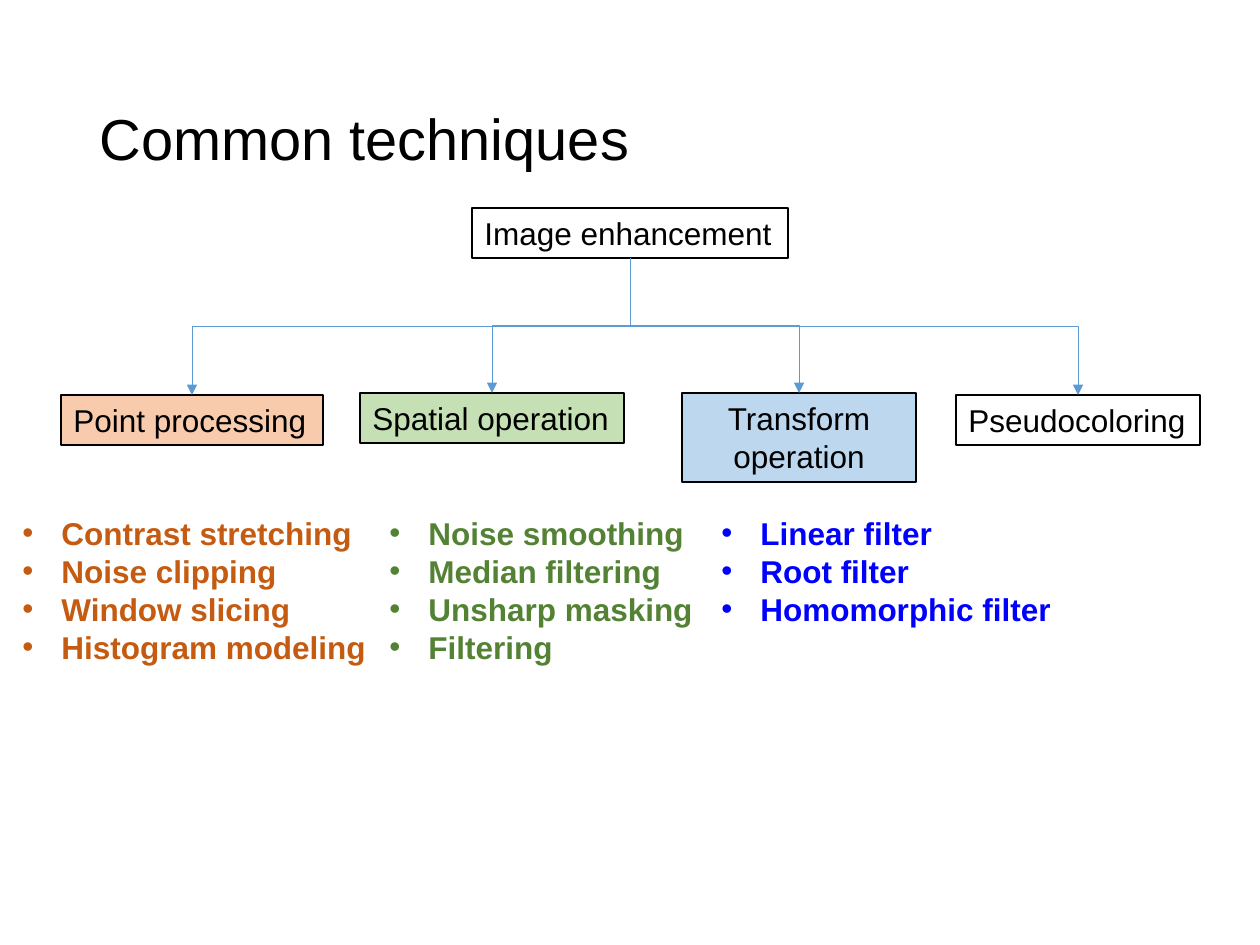
from typing import NamedTuple, Optional

from pptx import Presentation
from pptx.dml.color import RGBColor
from pptx.enum.shapes import MSO_CONNECTOR, MSO_SHAPE
from pptx.enum.text import MSO_ANCHOR, MSO_AUTO_SIZE, PP_ALIGN
from pptx.oxml.ns import qn
from pptx.util import Emu, Pt

SCALE = 914400 / 126
FONT = "Arial"
LEFT, CENTER = PP_ALIGN.LEFT, PP_ALIGN.CENTER
MIDDLE, TOP = MSO_ANCHOR.MIDDLE, MSO_ANCHOR.TOP
GROW, FIXED = MSO_AUTO_SIZE.SHAPE_TO_FIT_TEXT, MSO_AUTO_SIZE.NONE
ELBOW, RECT = MSO_CONNECTOR.ELBOW, MSO_SHAPE.RECTANGLE

BLACK = RGBColor(0, 0, 0)
PEACH = RGBColor(0xF8, 0xCB, 0xAD)
MINT = RGBColor(0xC5, 0xE0, 0xB4)
SKY = RGBColor(0xBD, 0xD7, 0xEE)
STEEL = RGBColor(0x5B, 0x9B, 0xD5)
RUST = RGBColor(0xC5, 0x5A, 0x11)
GREEN = RGBColor(0x54, 0x82, 0x35)
BLUE = RGBColor(0, 0, 0xFF)

INDENT = 39
LIST_TOP = 508


class Box(NamedTuple):
    text: str
    x: int
    y: int
    w: int
    h: int = 50
    fill: Optional[RGBColor] = None
    wrap: bool = False


class Bullets(NamedTuple):
    x: int
    w: int
    h: int
    color: RGBColor
    items: tuple[str, ...]


ROOT = Box("Image enhancement", 472, 208, 316)
GROUPS = (
    Box("Point processing", 61, 395, 262, fill=PEACH),
    Box("Spatial operation", 360, 393, 264, fill=MINT),
    Box("Transform operation", 682, 393, 234, 89, SKY, True),
    Box("Pseudocoloring", 956, 395, 244),
)
LISTS = (
    Bullets(10, 373, 165, RUST, ("Contrast stretching", "Noise clipping",
                                 "Window slicing", "Histogram modeling")),
    Bullets(377, 333, 165, GREEN, ("Noise smoothing", "Median filtering",
                                   "Unsharp masking", "Filtering")),
    Bullets(709, 359, 127, BLUE, ("Linear filter", "Root filter",
                                  "Homomorphic filter")),
)


def px(n: float) -> Emu:
    return Emu(round(n * SCALE))


def write(shape, *lines: str, size=18, color=BLACK, bold=False, align=LEFT,
          anchor=TOP, wrap=False, fit=GROW, bullet=False, spacing=None) -> None:
    frame = shape.text_frame
    frame.word_wrap = wrap
    frame.auto_size = fit
    frame.vertical_anchor = anchor
    for i, line in enumerate(lines):
        para = frame.add_paragraph() if i else frame.paragraphs[0]
        para.alignment = align
        if spacing:
            para.line_spacing = spacing
        if bullet:
            props = para._p.get_or_add_pPr()
            props.set("marL", str(px(INDENT)))
            props.set("indent", str(-px(INDENT)))
            face = props.makeelement(qn("a:buFont"), {"typeface": FONT})
            mark = props.makeelement(qn("a:buChar"), {"char": "•"})
            props.extend((face, mark))
        run = para.add_run()
        run.text = line
        run.font.name = FONT
        run.font.size = Pt(size)
        run.font.bold = bold
        run.font.color.rgb = color


def draw_box(slide, box: Box) -> None:
    shape = slide.shapes.add_shape(RECT, px(box.x), px(box.y), px(box.w), px(box.h))
    shape.shadow.inherit = False
    if box.fill is None:
        shape.fill.background()
    else:
        shape.fill.solid()
        shape.fill.fore_color.rgb = box.fill
    shape.line.color.rgb = BLACK
    shape.line.width = Pt(0.75)
    write(shape, box.text, wrap=box.wrap, align=CENTER if box.wrap else LEFT)


def draw_link(slide, start: Box, end: Box) -> None:
    """Elbow arrow from the bottom of one box to the top of another."""
    x1, y1 = start.x + start.w / 2, start.y + start.h
    x2, y2 = end.x + end.w / 2, end.y
    mid_x, mid_y = (x1 + x2) / 2, (y1 + y2) / 2
    side = 1 if x2 > x1 else -1
    # Lay the elbow on its side, then turn it so that it leaves downwards
    half_w, half_h = side * (y2 - y1) / 2, abs(x2 - x1) / 2
    link = slide.shapes.add_connector(
        ELBOW, px(mid_x + half_w), px(mid_y - half_h),
        px(mid_x - half_w), px(mid_y + half_h))
    link.rotation = 270 if side > 0 else 90
    link.line.color.rgb = STEEL
    link.line.width = Pt(0.5)
    line = link.line._get_or_add_ln()
    line.append(line.makeelement(qn("a:tailEnd"), {"type": "triangle"}))
    props = link._element.spPr
    props.append(props.makeelement(qn("a:effectLst"), {}))


def draw_list(slide, part: Bullets) -> None:
    shape = slide.shapes.add_textbox(px(part.x), px(LIST_TOP), px(part.w), px(part.h))
    write(shape, *part.items, color=part.color, bold=True, bullet=True)


def main() -> None:
    deck = Presentation()
    deck.slide_width, deck.slide_height = px(1260), px(945)
    slide = deck.slides.add_slide(deck.slide_layouts[5])

    # Title
    title = slide.shapes.title
    title.left, title.top, title.width, title.height = map(px, (87, 50, 1086, 183))
    write(title, "Common techniques", size=33, anchor=MIDDLE, wrap=True,
          fit=FIXED, spacing=0.9)

    # Tree of techniques
    for box in (ROOT, *GROUPS):
        draw_box(slide, box)
    for box in GROUPS:
        draw_link(slide, ROOT, box)

    # Examples under the groups
    for part in LISTS:
        draw_list(slide, part)

    deck.save("out.pptx")


if __name__ == "__main__":
    main()
